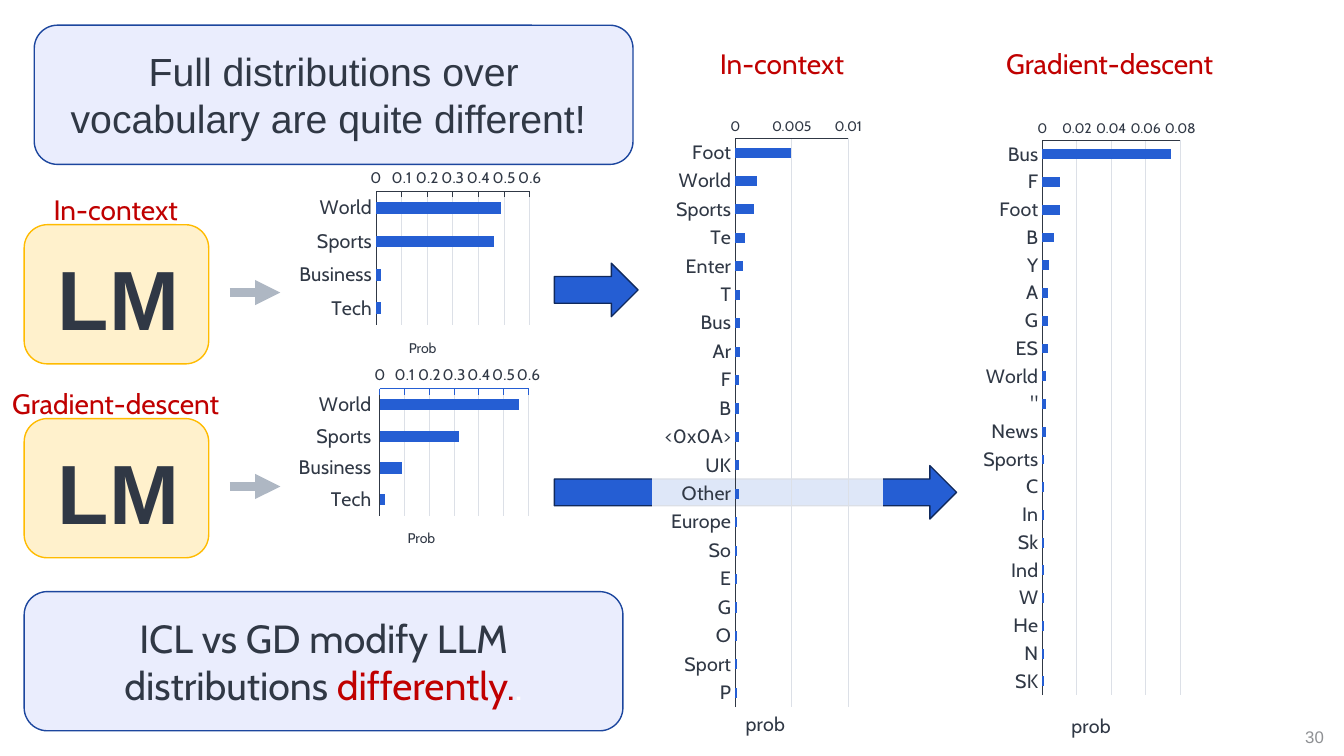
"""Build a slide comparing in-context and gradient-descent output distributions."""
from pptx import Presentation
from pptx import util as u
from pptx.chart import data as chart_data
from pptx.dml.color import RGBColor
from pptx.enum import chart as charts, shapes, text
from pptx.oxml import parse_xml
from pptx.oxml.ns import nsdecls, qn

COLORS = {
    "ink": "303845", "red": "C00000", "blue": "255ED3", "navy": "10295C",
    "panel": "EAEDFD", "panel_line": "1C469E", "model": "FFF1CC",
    "model_line": "FFBB00", "arrow": "AEB7C3", "grid": "DCE0E7",
    "number": "8F9194", "white": "FFFFFF",
}
RGB = {name: RGBColor.from_string(value) for name, value in COLORS.items()}

presentation = Presentation()
presentation.slide_width, presentation.slide_height = u.Pt(960), u.Pt(540)
slide = presentation.slides.add_slide(presentation.slide_layouts[6])


def add_box(position, runs=(), size=20, name="Cabin", bold=False, kind=None,
            fill="panel", line="panel_line", anchor=text.MSO_ANCHOR.TOP):
    """Add a text box, or a filled preset shape, with one centred paragraph."""
    place = [u.Pt(value) for value in position]
    if kind is None:
        shape = slide.shapes.add_textbox(*place)
    else:
        shape = slide.shapes.add_shape(kind, *place)
        shape.shadow.inherit = False
        shape.fill.solid()
        shape.fill.fore_color.rgb = RGB[fill]
        shape.line.color.rgb = RGB[line]
        shape.line.width = u.Pt(1)
    frame = shape.text_frame
    frame.word_wrap, frame.vertical_anchor = True, anchor
    paragraph = frame.paragraphs[0]
    paragraph.alignment = text.PP_ALIGN.CENTER
    for words, color in runs:
        run = paragraph.add_run()
        run.text = words
        run.font.color.rgb = RGB[color]
        for key, value in {"size": u.Pt(size), "name": name, "bold": bold}.items():
            setattr(run.font, key, value)


def add_bars(position, values, maximum, step, plot, title, title_at, title_size=10,
             value_size=10, tick=charts.XL_TICK_MARK.NONE, axis_line="ink",
             background="<a:noFill/>"):
    """Add a horizontal bar chart whose value axis runs along the top."""
    source = chart_data.CategoryChartData()
    source.categories = list(values)
    source.add_series("Series 1", list(values.values()))
    chart = slide.shapes.add_chart(
        charts.XL_CHART_TYPE.BAR_CLUSTERED, *[u.Pt(v) for v in position], source).chart
    chart.has_legend = chart.has_title = False
    bars = chart.plots[0]
    bars.gap_width, bars.vary_by_categories = 182, False
    bars.series[0].format.fill.solid()
    bars.series[0].format.fill.fore_color.rgb = RGB["blue"]

    categories, scale = chart.category_axis, chart.value_axis
    axis_formats = {
        categories: {"reverse_order": True, "has_major_gridlines": False,
                     "major_tick_mark": charts.XL_TICK_MARK.NONE},
        scale: {"minimum_scale": 0, "maximum_scale": maximum, "major_unit": step,
                "has_major_gridlines": True, "major_tick_mark": tick},
    }
    for axis, formats in axis_formats.items():
        for key, value in formats.items():
            setattr(axis, key, value)
        axis.minor_tick_mark = charts.XL_TICK_MARK.NONE
    scale.tick_labels.number_format = "General"
    scale.tick_labels.number_format_is_linked = False
    for line, color in ((categories.format.line, "ink"), (scale.format.line, axis_line),
                        (scale.major_gridlines.format.line, "grid")):
        line.color.rgb = RGB[color]
        line.width = u.Pt(0.75)

    heading = scale.axis_title.text_frame.paragraphs[0].add_run()
    heading.text = title
    for font, size in ((chart.font, 10), (categories.tick_labels.font, 14),
                       (scale.tick_labels.font, value_size), (heading.font, title_size)):
        font.color.rgb = RGB["ink"]
        for key, value in {"size": u.Pt(size), "name": "Cabin", "bold": False}.items():
            setattr(font, key, value)

    space = chart.element
    title_element = next(space.iter(qn("c:valAx"))).find(qn("c:title"))
    plot_element = next(space.iter(qn("c:plotArea")))
    for owner, index, target, place in ((title_element, 1, "", title_at),
                                        (plot_element, 0, '<c:layoutTarget val="inner"/>', plot)):
        for layout in owner.findall(qn("c:layout")):
            owner.remove(layout)
        modes = '<c:xMode val="edge"/><c:yMode val="edge"/>'
        sizes = "".join(f'<c:{tag} val="{v}"/>' for tag, v in zip("xywh", place))
        owner.insert(index, parse_xml(
            f'<c:layout {nsdecls("c")}><c:manualLayout>{target}{modes}{sizes}'
            "</c:manualLayout></c:layout>"))
    space.find(qn("c:chart")).addnext(parse_xml(
        f'<c:spPr {nsdecls("c", "a")}>{background}<a:ln><a:noFill/></a:ln></c:spPr>'))


ROUND, ARROW = shapes.MSO_SHAPE.ROUNDED_RECTANGLE, shapes.MSO_SHAPE.RIGHT_ARROW
MIDDLE = text.MSO_ANCHOR.MIDDLE
add_box((918, 512, 42, 28.5), [("30", "number")], 12, "Arial", anchor=MIDDLE)

for label, top in (("In-context", 160.5), ("Gradient-descent", 299)):
    add_box((17.3, top, 131.8, 99.4), kind=ROUND, fill="model", line="model_line")
    add_box((7.2, top + 12, 154.8, 80), [("LM", "ink")], 60, "Arial", bold=True)
    add_box((-5.8, top - 26.7, 177, 31.7), [(label, "red")])
    connector = slide.shapes.add_connector(
        shapes.MSO_CONNECTOR.STRAIGHT, u.Pt(164.2), u.Pt(top + 48.5),
        u.Pt(200.2), u.Pt(top + 48.5))
    connector.line.color.rgb = RGB["arrow"]
    connector.line.width = u.Pt(6)
    connector.line._get_or_add_ln().append(
        parse_xml(f'<a:tailEnd {nsdecls("a")} type="triangle"/>'))
    connector._element.spPr.append(parse_xml(f'<a:effectLst {nsdecls("a")}/>'))

label_set = {"maximum": 0.6, "step": 0.1, "title": "Prob", "value_size": 11,
             "tick": charts.XL_TICK_MARK.INSIDE}
add_bars((210.2, 259.2, 180, 141.8),
         {"World ": 0.56, "Sports ": 0.32, "Business ": 0.09, "Tech ": 0.02},
         plot=(0.34, 0.13, 0.59, 0.64), title_at=(0.44, 0.82), axis_line="blue", **label_set)
add_bars((211, 117.4, 180, 149),
         {"World": 0.49, "Sports": 0.46, "Business": 0.02, "Tech": 0.02},
         plot=(0.32, 0.13, 0.61, 0.64), title_at=(0.44, 0.82), **label_set)

gradient_words = {
    "Bus": 0.075, "F": 0.01, "Foot": 0.01, "B": 0.007, "Y": 0.004, "A": 0.003,
    "G": 0.003, "ES": 0.003, "World": 0.002, '"': 0.002, "News": 0.002,
    **dict.fromkeys(["Sports", "C", "In", "Sk", "Ind", "W", "He", "N", "SK"], 0.001),
}
context_words = {
    "Foot": 0.0049, "World": 0.0019, "Sports": 0.0017, "Te": 0.0009, "Enter": 0.0007,
    **dict.fromkeys(["T", "Bus", "Ar"], 0.0004),
    **dict.fromkeys(["F", "B", "<0x0A>", "UK", "Other"], 0.0003),
    **dict.fromkeys(["Europe", "So", "E", "G", "O", "Sport", "P"], 0.0002),
}
add_bars((682.6, 31, 182.2, 501), gradient_words, 0.08, 0.02,
         (0.34, 0.14, 0.54, 0.8), "prob", (0.44, 0.96), 14)
add_box((396, 332.6, 287.3, 38.2), kind=ARROW, fill="blue", line="navy")
add_bars((465.8, 29.5, 164.9, 501), context_words, 0.01, 0.005,
         (0.36, 0.14, 0.49, 0.82), "prob", (0.39, 0.96), 14,
         background=f'<a:solidFill><a:srgbClr val="{COLORS["white"]}">'
                    '<a:alpha val="85000"/></a:srgbClr></a:solidFill>')
add_box((396, 188, 59.8, 38.2), kind=ARROW, fill="blue", line="navy")

for label, left in (("In-context", 470), ("Gradient-descent", 704.2)):
    add_box((left, 29.5, 177, 31.7), [(label, "red")])

add_box((24.5, 18, 427.7, 99.4),
        [("Full distributions over vocabulary are quite different! ", "ink")],
        28, "Arial", kind=ROUND, anchor=MIDDLE)
add_box((17.3, 422.6, 427.7, 99.4),
        [("ICL vs GD modify LLM distributions ", "ink"), ("differently.", "red"), (".", "white")],
        28, kind=ROUND, anchor=MIDDLE)

presentation.save("out.pptx")
